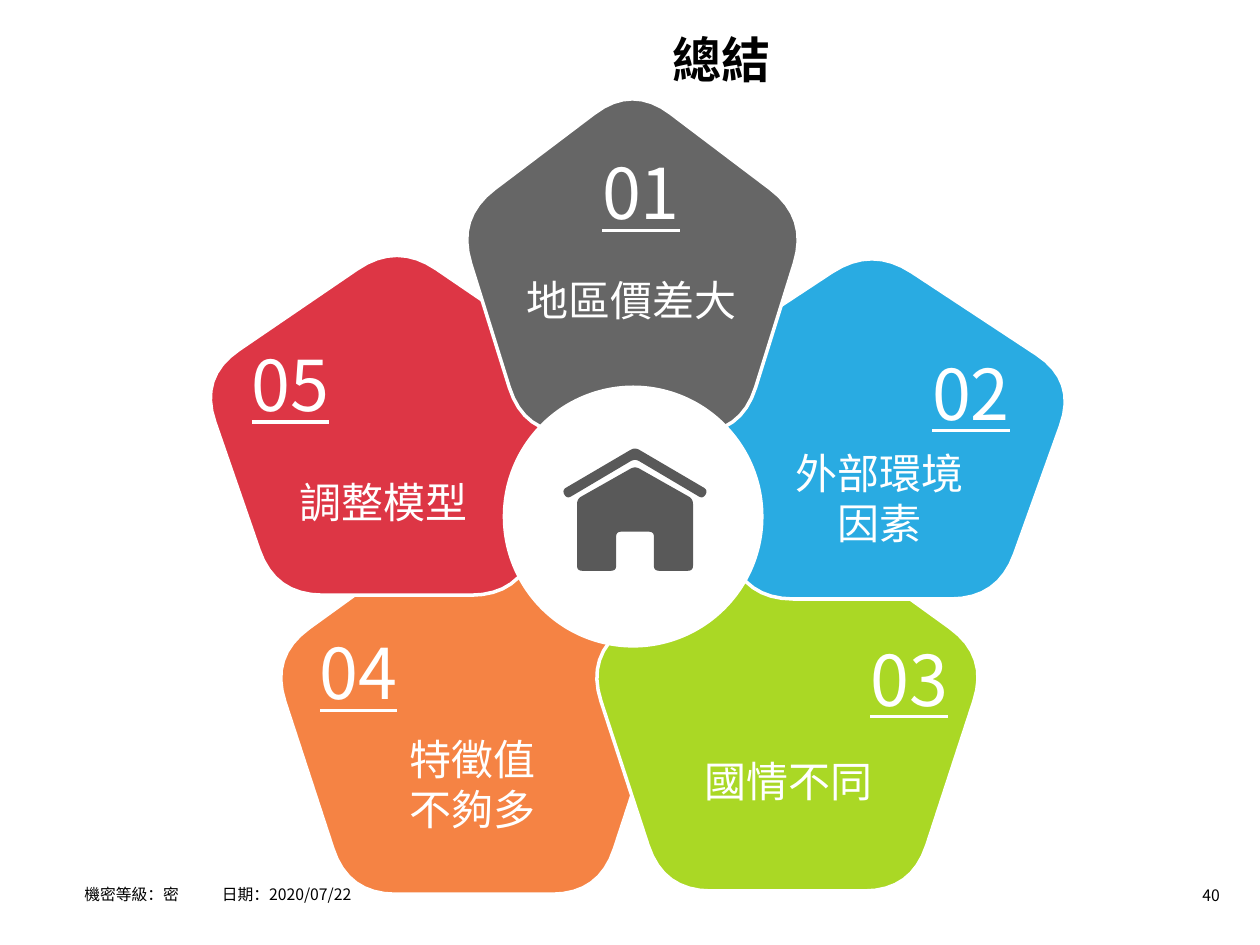
"""Build the summary slide: five numbered petals around a house."""
import math

from lxml import etree
from pptx import Presentation
from pptx import util as u
from pptx.dml.color import RGBColor
from pptx.enum import shapes, text
from pptx.oxml import ns

THEME = {
    "font": "Noto Sans CJK SC",
    "black": "000000", "white": "FFFFFF", "house": "595959",
    "gray": "666666", "blue": "29ABE2", "green": "AAD825",
    "orange": "F58344", "red": "DD3645",
    "title": 28, "number": 40, "caption": 24, "footer": 9,
}
CURVE_STEPS = 8

presentation = Presentation()
presentation.slide_width = u.Inches(10)
presentation.slide_height = u.Inches(7.5)
slide = presentation.slides.add_slide(presentation.slide_layouts[6])


def add_text(content, box, size, color="white", align="CENTER", anchor="TOP",
             bold=False, underline=False, wrap=True, left_inset=0.1):
    shape = slide.shapes.add_textbox(*(u.Inches(length) for length in box))
    frame = shape.text_frame
    frame.word_wrap = wrap
    frame.margin_left = u.Inches(left_inset)
    frame.vertical_anchor = text.MSO_ANCHOR[anchor]
    frame.text = content
    for paragraph in frame.paragraphs:
        paragraph.alignment = text.PP_ALIGN[align]
        font = paragraph.runs[0].font
        font.size = u.Pt(THEME[size])
        font.bold = bold
        font.underline = underline
        font.color.rgb = RGBColor.from_string(THEME[color])
        font.name = THEME["font"]
        properties = paragraph.runs[0]._r.get_or_add_rPr()
        etree.SubElement(properties, ns.qn("a:ea"), typeface=THEME["font"])
    return frame


def add_rounded_outline(corners, cut, color):
    points = []
    for index, corner in enumerate(corners):
        ends = []
        for neighbour in (corners[index - 1], corners[(index + 1) % len(corners)]):
            share = cut / math.dist(corner, neighbour)
            ends.append([c + share * (n - c) for c, n in zip(corner, neighbour)])
        for step in range(CURVE_STEPS + 1):
            t = step / CURVE_STEPS
            points.append([u.Inches((1 - t) ** 2 * a + 2 * t * (1 - t) * c + t * t * b)
                           for a, c, b in zip(ends[0], corner, ends[1])])
    builder = slide.shapes.build_freeform(*points[0], scale=1.0)
    builder.add_line_segments(points[1:], close=True)
    shape = builder.convert_to_shape()
    shape.shadow.inherit = False
    shape.fill.solid()
    shape.fill.fore_color.rgb = RGBColor.from_string(THEME[color])
    shape.line.fill.background()
    return shape


petals = [
    ("orange", 3.76, 5.73, 1.7, 1.69),
    ("red", 3.15, 3.47, 1.65, 1.55),
    ("green", 6.25, 5.72, 1.68, 1.67),
    ("blue", 6.92, 3.5, 1.71, 1.55),
    ("gray", 5.02, 2.2, 1.47, 1.53),
]
for color, center_x, center_y, radius_x, radius_y in petals:
    angles = [math.tau * corner / 5 for corner in range(5)]
    pentagon = [(center_x + radius_x * math.sin(angle),
                 center_y - radius_y * math.cos(angle)) for angle in angles]
    petal = add_rounded_outline(pentagon, 0.38, color)
    petal.line.color.rgb = RGBColor.from_string(THEME["white"])
    petal.line.width = u.Pt(2)

hub = slide.shapes.add_shape(shapes.MSO_SHAPE.OVAL, u.Inches(3.99), u.Inches(3.06),
                             u.Inches(2.07), u.Inches(2.08))
hub.shadow.inherit = False
hub.fill.solid()
hub.fill.fore_color.rgb = RGBColor.from_string(THEME["white"])
hub.line.fill.background()

house_axis = 5.04
house_halves = [
    [(0, 3.7), (0.46, 3.96), (0.46, 4.53), (0.15, 4.53), (0.15, 4.22)],
    [(0, 3.55), (0.58, 3.89), (0.54, 3.96), (0, 3.64)],
]
for half in house_halves:
    right = [(house_axis + x, y) for x, y in half]
    left = [(house_axis - x, y) for x, y in reversed(half) if x]
    add_rounded_outline(right + left, 0.04, "house")

labels = [
    ("01", (4.68, 1.14), "地區價差大", (4.01, 2.13, 2.01, 0.5)),
    ("02", (7.3, 2.73), "外部環境因素", (6.18, 3.5, 1.6, 0.91)),
    ("03", (6.81, 5), "國情不同", (5.28, 5.95, 1.96, 0.5)),
    ("04", (2.44, 4.95), "特徵值\n不夠多", (2.77, 5.77, 1.96, 0.91)),
    ("05", (1.9, 2.66), "調整模型", (2.04, 3.73, 2.01, 0.5)),
]
for number, corner, caption, caption_box in labels:
    add_text(number, (*corner, 0.85, 0.77), "number", align="LEFT",
             underline=True, wrap=False)
    add_text(caption, caption_box, "caption")

add_text("總結", (2.31, 0.17, 6.83, 0.59), "title", "black", anchor="MIDDLE", bold=True)
add_text("40", (9.1, 6.98, 0.68, 0.25), "footer", "black", align="RIGHT", anchor="MIDDLE")

footer = add_text("機密等級：密\t日期：2020/07/22", (0.67, 6.9, 7.42, 0.31), "footer",
                  "black", align="LEFT", left_inset=0)
footer_line = footer.paragraphs[0]
footer_line.line_spacing = 1.5
footer_line.space_before = u.Pt(2.7)
tab_list = etree.SubElement(footer_line._p.get_or_add_pPr(), ns.qn("a:tabLst"))
etree.SubElement(tab_list, ns.qn("a:tab"), pos=str(u.Inches(1.09)), algn="l")

presentation.save("out.pptx")
